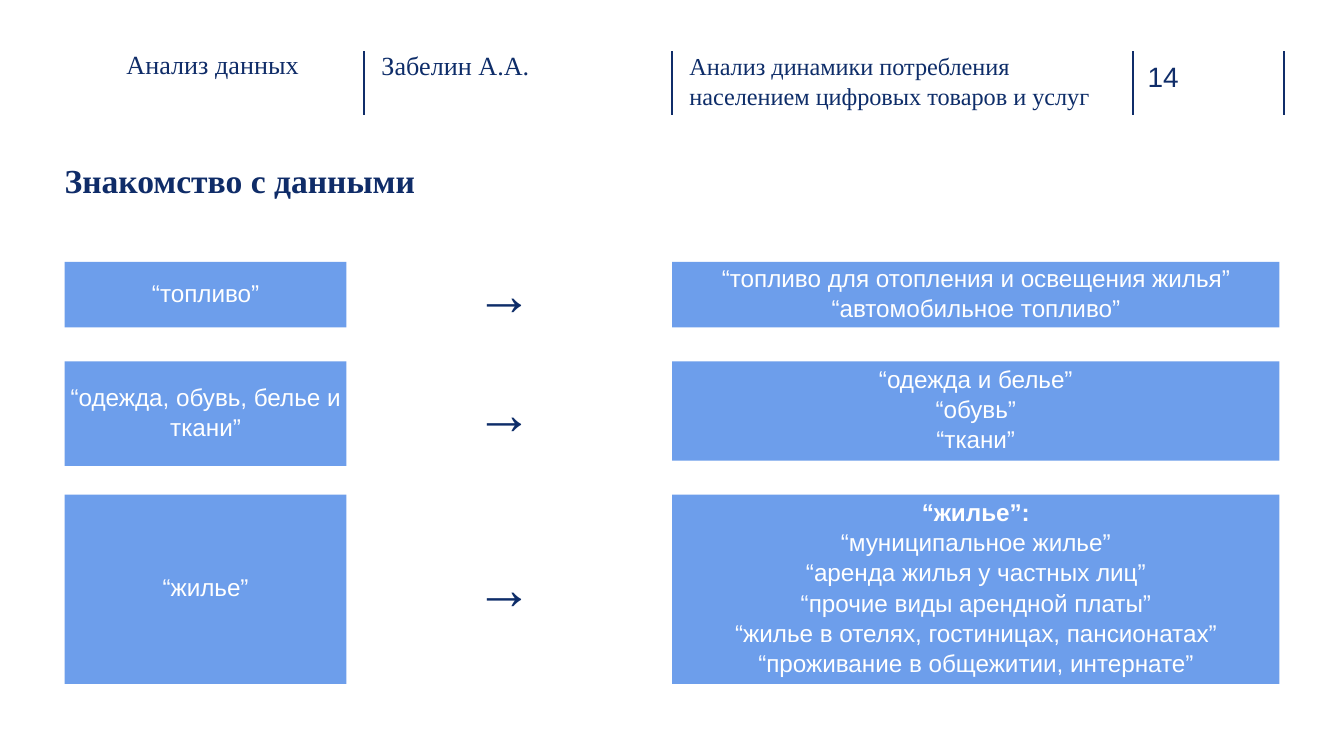
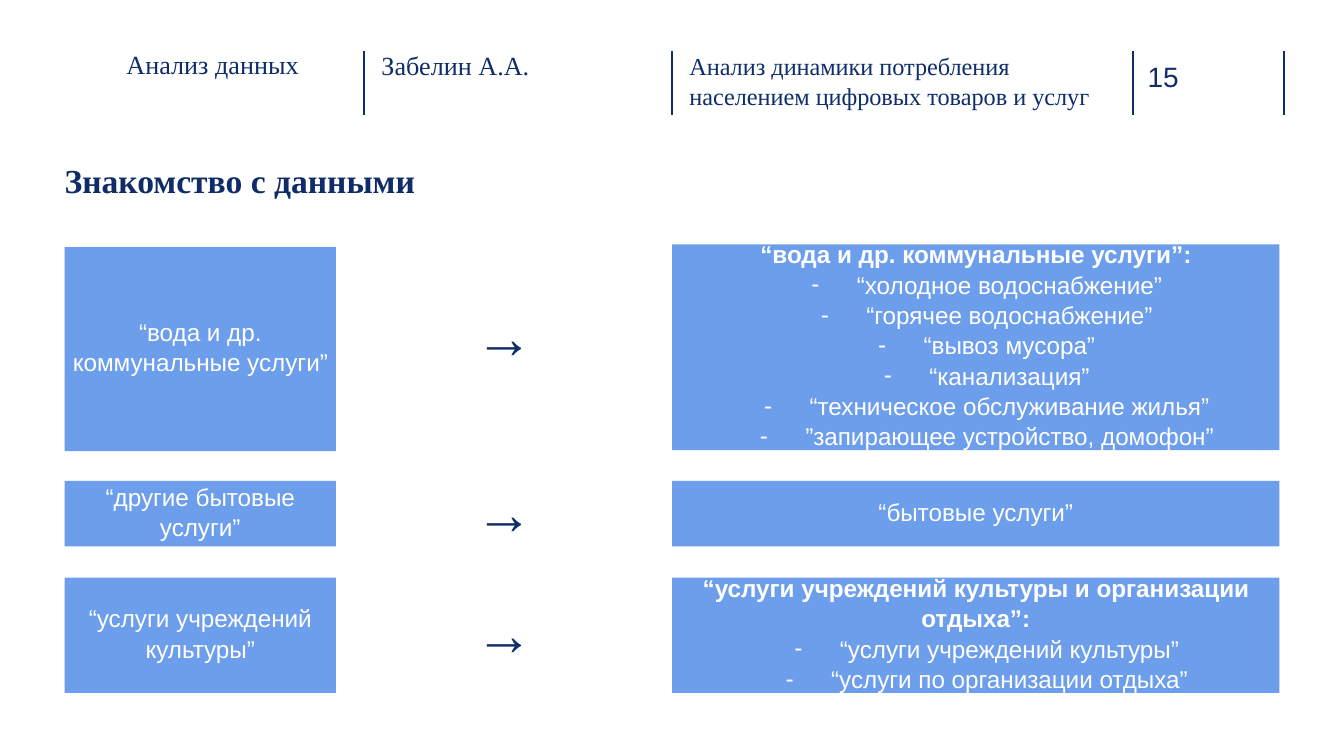
from dataclasses import dataclass

from lxml.etree import SubElement
from pptx import Presentation
from pptx.dml.color import RGBColor
from pptx.enum.shapes import MSO_CONNECTOR as Connector, MSO_SHAPE as Shape
from pptx.enum.text import MSO_ANCHOR as Anchor, MSO_AUTO_SIZE as AutoSize, PP_ALIGN as Align
from pptx.oxml.ns import qn
from pptx.util import Cm, Pt


@dataclass(frozen=True)
class Theme:
    rule: str = "102D69"
    title: str = "0F2C68"
    header: str = "0E2D69"
    box: str = "6D9EEB"
    white: str = "FFFFFF"
    serif: str = "Times New Roman"
    sans: str = "Arial"
    title_size: int = 18
    header_size: int = 14
    body_size: int = 13
    number_size: int = 15
    arrow_size: int = 31
    spacing: float = 1.04


@dataclass(frozen=True)
class Row:
    source: str
    targets: tuple
    top: float
    height: float
    target_top: float = None
    target_height: float = None
    arrow_height: float = None
    anchor: Anchor = Anchor.MIDDLE


COMPARISON_LAYOUT = 4
FIRST_NUMBER = 14
TITLE = "Знакомство с данными"
COURSE = "Анализ данных"
AUTHOR = "Забелин А.А."
TOPIC = "Анализ динамики потребления населением цифровых товаров и услуг"
LEFT, ARROW_LEFT, RIGHT = 1.22, 8.13, 12.7
ARROW_WIDTH, TARGET_WIDTH = 2.82, 11.48
RULES = (6.88, 12.7, 21.41, 24.26)

SPLITS = (
    Row("“топливо”",
        ("“топливо для отопления и освещения жилья”", "“автомобильное топливо”"),
        4.95, 1.24, anchor=Anchor.TOP),
    Row("“одежда, обувь, белье и ткани”",
        ("“одежда и белье”", "“обувь”", "“ткани”"),
        6.83, 1.98, target_height=1.88),
    Row("“жилье”",
        ("“жилье”:", "“муниципальное жилье”", "“аренда жилья у частных лиц”",
         "“прочие виды арендной платы”", "“жилье в отелях, гостиницах, пансионатах”",
         "“проживание в общежитии, интернате”"),
        9.35, 3.58),
)

SERVICES = (
    Row("“вода и др. коммунальные услуги”",
        ("“вода и др. коммунальные услуги”:", "“холодное водоснабжение”",
         "“горячее водоснабжение”", "“вывоз мусора”", "“канализация”",
         "“техническое обслуживание жилья”", "”запирающее устройство, домофон”"),
        4.67, 3.86, target_top=4.62, target_height=3.89, arrow_height=3.43),
    Row("“другие бытовые услуги”", ("“бытовые услуги”",), 9.09, 1.24),
    Row("“услуги учреждений культуры”",
        ("“услуги учреждений культуры и организации отдыха”:",
         "“услуги учреждений культуры”", "“услуги по организации отдыха”"),
        10.92, 2.18),
)


def write(p, text, *, size, color, font, bold=False, align=Align.LEFT,
          spacing=1.0, dash=False, field=None):
    p.alignment, p.line_spacing = align, spacing
    p.space_before = p.space_after = Pt(0)
    r = p.add_run()
    r.text = text
    r.font.size, r.font.name, r.font.bold = Pt(size), font, bold
    r.font.color.rgb = RGBColor.from_string(color)
    pPr = p._p.get_or_add_pPr()
    pPr.set("marL", str(Cm(1.27) if dash else 0))
    pPr.set("indent", str(Cm(-0.86) if dash else 0))
    if dash:
        SubElement(SubElement(pPr, qn("a:buClr")), qn("a:srgbClr"), val=color)
        SubElement(pPr, qn("a:buFont"), typeface=font)
        SubElement(pPr, qn("a:buChar"), char="-")
    else:
        SubElement(pPr, qn("a:buNone"))
    if field:
        r._r.tag = qn("a:fld")
        r._r.set("id", "{B6F15528-21DE-4FAA-801E-634DDDAF4B2B}")
        r._r.set("type", field)


class Deck:
    def __init__(self, theme):
        self.theme = theme
        self.prs = Presentation()
        self.prs.slide_width, self.prs.slide_height = Cm(25.4), Cm(14.29)
        self.prs.element.set("firstSlideNum", str(FIRST_NUMBER))
        self.s = None

    def frame(self, sp, at, anchor=Anchor.TOP, bottom=0):
        sp.left, sp.top, sp.width, sp.height = map(Cm, at)
        tf = sp.text_frame
        tf.word_wrap, tf.auto_size, tf.vertical_anchor = True, AutoSize.NONE, anchor
        tf.margin_left = tf.margin_top = tf.margin_right = 0
        tf.margin_bottom = Cm(bottom)
        return tf

    def label(self, text, at, **style):
        sp = self.s.shapes.add_textbox(*map(Cm, at))
        write(self.frame(sp, at).paragraphs[0], text, **style)

    def rule(self, x):
        line = self.s.shapes.add_connector(Connector.STRAIGHT, Cm(x), Cm(0.97), Cm(x), Cm(2.18))
        line.line.color.rgb = RGBColor.from_string(self.theme.rule)
        line.line.width = Pt(1)
        SubElement(line._element.spPr, qn("a:effectLst"))

    def header(self):
        t = self.theme
        for x in RULES:
            self.rule(x)
        number = str(FIRST_NUMBER + len(self.prs.slides) - 1)
        self.label(number, (21.69, 1.12, 1.4, 0.64), size=t.number_size, color=t.rule,
                   font=t.sans, field="slidenum")
        self.label(COURSE, (2.39, 0.91, 3.96, 1.24), size=t.header_size, color=t.title,
                   font=t.serif)
        self.label(AUTHOR, (7.21, 0.94, 4.32, 1.24), size=t.header_size, color=t.header,
                   font=t.serif)
        self.label(TOPIC, (13.03, 0.94, 8, 1.24), size=t.body_size, color=t.header,
                   font=t.serif, spacing=t.spacing)

    def title(self, text):
        t = self.theme
        tf = self.frame(self.s.shapes.title, (LEFT, 3.02, 23.04, 1.63))
        write(tf.paragraphs[0], text, size=t.title_size, color=t.title, font=t.serif, bold=True)

    def fill(self, sp, color):
        sp.fill.solid()
        sp.fill.fore_color.rgb = RGBColor.from_string(color)
        sp.line.fill.background()

    def box(self, text, at, fill, **style):
        sp = self.s.shapes.add_shape(Shape.RECTANGLE, *map(Cm, at))
        sp.shadow.inherit = False
        self.fill(sp, fill)
        tf = self.frame(sp, at, Anchor.MIDDLE, 0.1)
        write(tf.paragraphs[0], text, font=self.theme.sans, align=Align.CENTER, **style)

    def targets(self, sp, lines, at, anchor, dashed):
        t = self.theme
        self.fill(sp, t.box)
        tf = self.frame(sp, at, anchor, 0.1)
        for i, text in enumerate(lines):
            p = tf.add_paragraph() if i else tf.paragraphs[0]
            write(p, text, size=t.body_size, color=t.white, font=t.sans, align=Align.CENTER,
                  spacing=t.spacing, bold=text.endswith(":"), dash=dashed and i > 0)

    def row(self, row, sp, width, dashed):
        t = self.theme
        self.box(row.source, (LEFT, row.top, width, row.height), t.box,
                 size=t.body_size, color=t.white, spacing=t.spacing)
        self.box("→", (ARROW_LEFT, row.top, ARROW_WIDTH, row.arrow_height or row.height),
                 t.white, size=t.arrow_size, color=t.header, bold=True)
        at = (RIGHT, row.target_top or row.top, TARGET_WIDTH, row.target_height or row.height)
        self.targets(sp, row.targets, at, row.anchor, dashed)

    def slide(self, rows, width, dashed=False):
        self.s = self.prs.slides.add_slide(self.prs.slide_layouts[COMPARISON_LAYOUT])
        bodies = [sp for sp in self.s.placeholders if sp.placeholder_format.idx > 0]
        self.header()
        self.title(TITLE)
        for row, sp in zip(rows, bodies):
            self.row(row, sp, width, dashed)
        for sp in bodies[len(rows):]:
            sp._element.getparent().remove(sp._element)


def main():
    deck = Deck(Theme())
    deck.slide(SPLITS, 5.33)
    deck.slide(SERVICES, 5.13, dashed=True)
    deck.prs.save("out.pptx")


if __name__ == "__main__":
    main()
